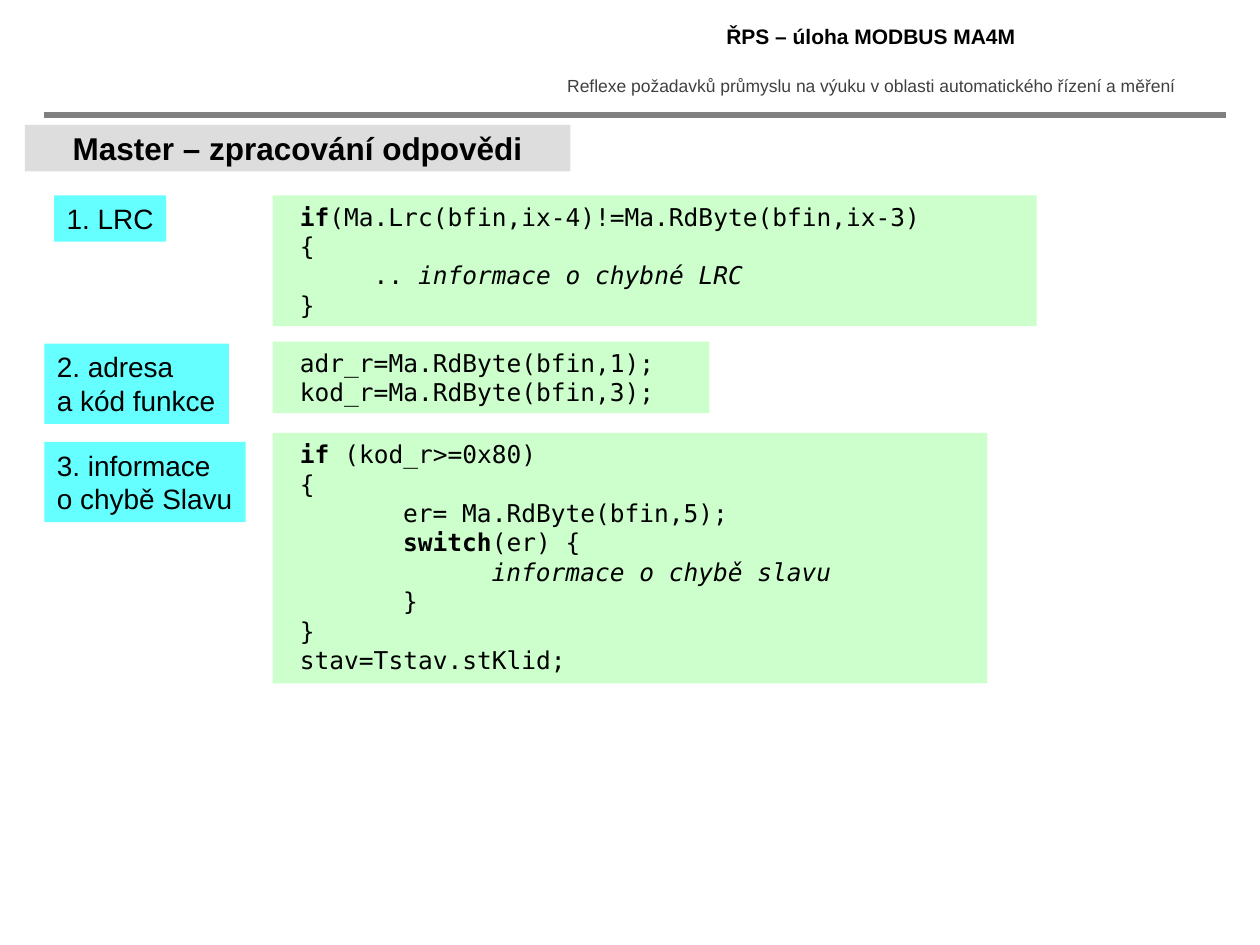
from pptx import Presentation
from pptx.dml.color import RGBColor
from pptx.enum import shapes, text
from pptx.oxml import xmlchemy
from pptx.util import Pt
from lxml import etree

BLACK = RGBColor(0, 0, 0)
DARK_GREY = RGBColor(0x40, 0x40, 0x40)
RULE_GREY = RGBColor(0x80, 0x80, 0x80)
TITLE_GREY = RGBColor(0xDD, 0xDD, 0xDD)
CYAN = RGBColor(0x66, 0xFF, 0xFF)
GREEN = RGBColor(0xCC, 0xFF, 0xCC)

SANS, MONO = "Arial", "DejaVu Sans Mono"
CODE_SIZE = 14
CHARACTER_WIDTH = 0.602 * CODE_SIZE
CODE_LINE = 16.8
DRAWING = "http://schemas.openxmlformats.org/drawingml/2006/main"

# Each step: label box, label lines, code box, code lines.
# A code line is its indent in characters, then (text, style) pieces.
STEPS = [
    ((31, 111.6, 64, 26.6), ["1. LRC"],
     (155.8, 111.6, 436.6, 74.8),
     [(0, ("if", "bold"), ("(Ma.Lrc(bfin,ix-4)!=Ma.RdByte(bfin,ix-3)", "")),
      (0, ("{", "")),
      (5, (".. ", ""), ("informace o chybné LRC", "italic")),
      (0, ("}", ""))]),
    ((25.4, 196.4, 105.4, 45.8), ["2. adresa", "a kód funkce"],
     (155.8, 195.2, 249.6, 41),
     [(0, ("adr_r=Ma.RdByte(bfin,1);", "")),
      (0, ("kod_r=Ma.RdByte(bfin,3);", ""))]),
    ((25.4, 252.6, 115, 45.8), ["3. informace", "o chybě Slavu"],
     (155.8, 247.4, 408.4, 143.2),
     [(0, ("if ", "bold"), ("(kod_r>=0x80)", "")),
      (0, ("{", "")),
      (7, ("er= Ma.RdByte(bfin,5);", "")),
      (7, ("switch", "bold"), ("(er) {", "")),
      (13, ("informace o chybě slavu", "italic")),
      (7, ("}", "")),
      (0, ("}", "")),
      (0, ("stav=Tstav.stKlid;", ""))]),
]


def points(box):
    return [Pt(value) for value in box]


def style(paragraph, size, color=BLACK, name=SANS, bold=False):
    font = paragraph.font
    font.name, font.size, font.bold = name, Pt(size), bold
    font.color.rgb = color


def add_panel(slide, box, fill):
    """Filled rectangle without outline, ready for left-aligned text."""
    shape = slide.shapes.add_shape(shapes.MSO_SHAPE.RECTANGLE, *points(box))
    shape.shadow.inherit = False
    shape.fill.solid()
    shape.fill.fore_color.rgb = fill
    shape.line.fill.background()
    shape.text_frame.vertical_anchor = text.MSO_ANCHOR.TOP
    return shape


def add_header_text(slide, box, wording, size, color, bold):
    frame = slide.shapes.add_textbox(*points(box)).text_frame
    frame.word_wrap = True
    paragraph = frame.paragraphs[0]
    paragraph.text = wording
    paragraph.alignment = text.PP_ALIGN.CENTER
    style(paragraph, size, color, bold=bold)


def add_header(slide, box):
    """Course name, project name and the rule below them."""
    left, top, width, height = box
    column_left, column_width = left + 284.2, 376.2
    add_header_text(slide, (column_left, top, column_width, 22.4),
                    "ŘPS – úloha MODBUS MA4M", 12, BLACK, True)
    add_header_text(slide, (column_left, top + 29.5, column_width, 19.4),
                    "Reflexe požadavků průmyslu na výuku v oblasti "
                    "automatického řízení a měření", 10, DARK_GREY, False)
    rule = slide.shapes.add_connector(
        shapes.MSO_CONNECTOR.STRAIGHT,
        *points((left, top + height, left + width, top + height)))
    rule.line.color.rgb = RULE_GREY
    rule.line.width = Pt(3)
    etree.SubElement(rule._element.spPr, f"{{{DRAWING}}}effectLst")


def place_title(slide, box, wording):
    title = slide.shapes.title
    title.left, title.top, title.width, title.height = points(box)
    title.fill.solid()
    title.fill.fore_color.rgb = TITLE_GREY
    frame = title.text_frame
    frame.text = wording
    frame.auto_size = text.MSO_AUTO_SIZE.NONE
    frame.word_wrap = False
    frame.vertical_anchor = text.MSO_ANCHOR.MIDDLE
    frame.paragraphs[0].alignment = text.PP_ALIGN.CENTER
    style(frame.paragraphs[0], 18, bold=True)


def add_label(slide, box, lines):
    frame = add_panel(slide, box, CYAN).text_frame
    frame.word_wrap = False
    frame.text = "\n".join(lines)
    for paragraph in frame.paragraphs:
        paragraph.alignment = text.PP_ALIGN.LEFT
        style(paragraph, 16)


def add_code(slide, box, lines):
    frame = add_panel(slide, box, GREEN).text_frame
    frame.word_wrap = True
    frame.margin_left = Pt(7.2 + CHARACTER_WIDTH)
    for number, (indent, *pieces) in enumerate(lines):
        paragraph = frame.add_paragraph() if number else frame.paragraphs[0]
        paragraph.alignment = text.PP_ALIGN.LEFT
        paragraph.line_spacing = Pt(CODE_LINE)
        style(paragraph, CODE_SIZE, name=MONO)
        properties = paragraph._p.get_or_add_pPr()
        properties.set("marL", str(int(Pt(indent * CHARACTER_WIDTH))))
        for wording, emphasis in pieces:
            run = paragraph.add_run()
            run.text = wording
            if emphasis:
                setattr(run.font, emphasis, True)


def build_slide(presentation):
    slide = presentation.slides.add_slide(presentation.slide_layouts[5])
    add_header(slide, (25.4, 10.1, 675.2, 55.6))
    place_title(slide, (14.2, 71.4, 311.8, 26.6), "Master – zpracování odpovědi")
    for label_box, label_lines, code_box, code_lines in STEPS:
        add_label(slide, label_box, label_lines)
        add_code(slide, code_box, code_lines)


presentation = Presentation()
presentation.slide_width, presentation.slide_height = Pt(720), Pt(540)
build_slide(presentation)
presentation.save("out.pptx")
